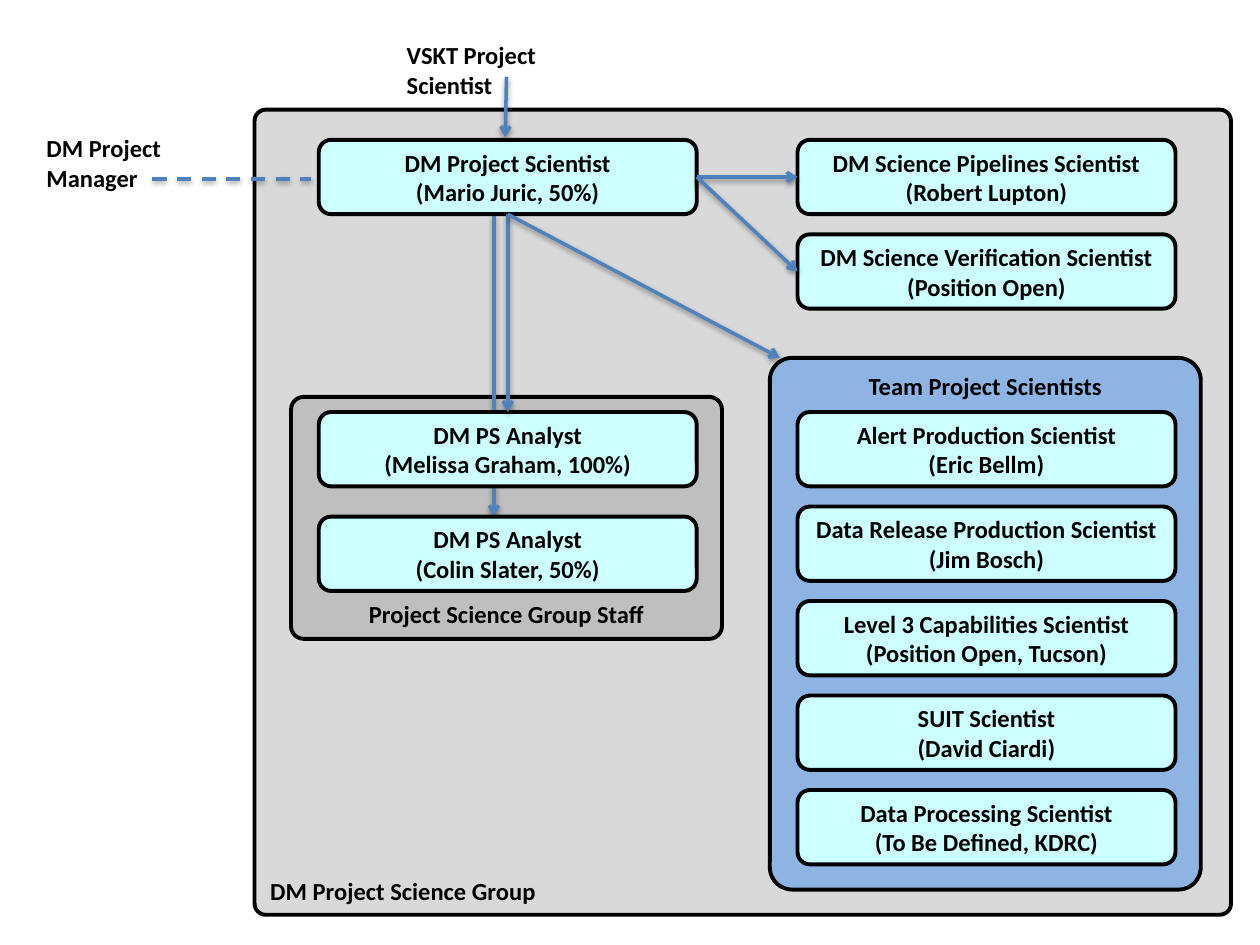
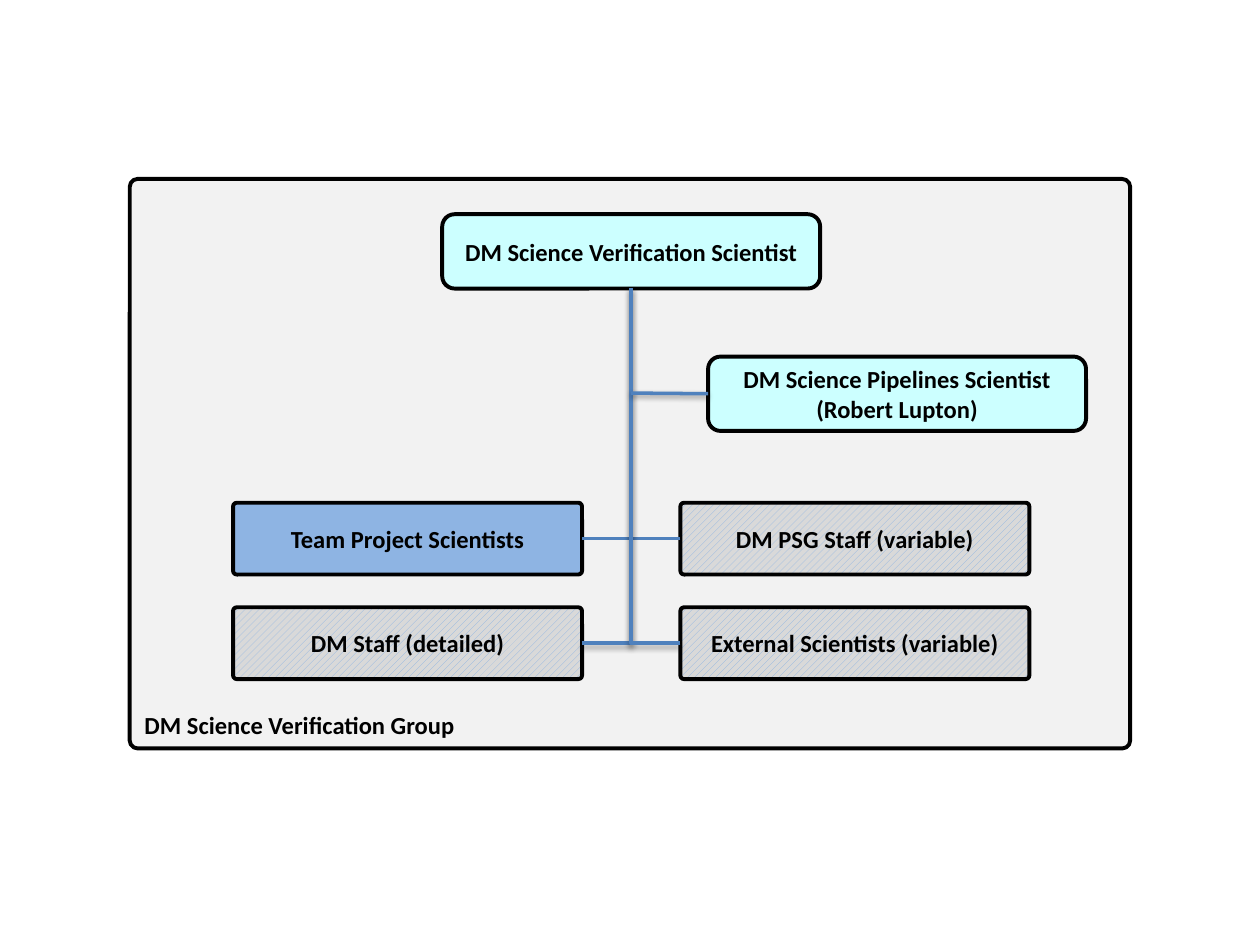
from lxml import etree
from pptx import Presentation
from pptx import util as u
from pptx.dml.color import RGBColor
from pptx.enum import dml, shapes, text
from pptx.oxml.ns import qn

COLOURS = {
    "ink": "000000",
    "connector": "4F81BD",
    "role": "CCFFFF",
    "team": "8EB4E3",
    "staff": "BFBFBF",
    "group": "D9D9D9",
    "pale group": "F2F2F2",
}
FONT, FONT_SIZE = "Calibri", 14
ROLE_SIZE = (3, 0.59)
UNIT_SIZE = (2.77, 0.57)
ROUND, MEDIUM, SLIGHT = 0.167, 0.052, 0.014
TOP, LEFT, BOTTOM, RIGHT = range(4)
MIDDLE = text.MSO_ANCHOR.MIDDLE
CENTER = text.PP_ALIGN.CENTER


def add_box(slide, at, size, lines, fill=None, corner=ROUND, anchor=MIDDLE, align=CENTER):
    """Add a bold-lettered rounded box; "hatched" gives a pattern, no fill a plain label."""
    frame = [u.Inches(value) for value in (*at, *size)]
    if fill is None:
        shape = slide.shapes.add_textbox(*frame)
        shape.text_frame.auto_size = text.MSO_AUTO_SIZE.SHAPE_TO_FIT_TEXT
    else:
        shape = slide.shapes.add_shape(shapes.MSO_SHAPE.ROUNDED_RECTANGLE, *frame)
        shape.shadow.inherit = False
        shape.adjustments[0] = corner
        shape.line.color.rgb = RGBColor.from_string(COLOURS["ink"])
        shape.line.width = u.Pt(2.25)
        if fill == "hatched":
            shape.fill.patterned()
            shape.fill.pattern = dml.MSO_PATTERN.WIDE_UPWARD_DIAGONAL
            shape.fill.fore_color.rgb = RGBColor.from_string(COLOURS["team"])
            shape.fill.back_color.rgb = RGBColor.from_string(COLOURS["group"])
        else:
            shape.fill.solid()
            shape.fill.fore_color.rgb = RGBColor.from_string(COLOURS[fill])
    shape.text_frame.word_wrap = fill is None
    shape.text_frame.vertical_anchor = anchor
    paragraph = shape.text_frame.paragraphs[0]
    paragraph.alignment = align
    for index, line in enumerate(lines):
        if index:
            paragraph.add_line_break()
        run = paragraph.add_run()
        run.text = line
        run.font.name = FONT
        run.font.size = u.Pt(FONT_SIZE)
        run.font.bold = True
        run.font.color.rgb = RGBColor.from_string(COLOURS["ink"])
    return shape


def add_line(slide, start, end, arrow=False, dashed=False, bent=False, shadow=True):
    """Join two ends, each an (x, y) point in inches or a (shape, side) pair."""
    points = []
    for first, second in (start, end):
        if isinstance(first, (int, float)):
            points += [u.Inches(first), u.Inches(second)]
        else:
            points += [int(first.left + first.width * (0.5, 0, 0.5, 1)[second]),
                       int(first.top + first.height * (0, 0.5, 1, 0.5)[second])]
    kind = shapes.MSO_CONNECTOR.ELBOW if bent else shapes.MSO_CONNECTOR.STRAIGHT
    connector = slide.shapes.add_connector(kind, *points)
    if not isinstance(start[0], (int, float)):
        connector.begin_connect(*start)
    if not isinstance(end[0], (int, float)):
        connector.end_connect(*end)
    connector.line.color.rgb = RGBColor.from_string(COLOURS["connector"])
    connector.line.width = u.Pt(2)
    if dashed:
        connector.line.dash_style = dml.MSO_LINE.DASH
    properties = connector._element.spPr
    if bent:
        properties.find(qn("a:prstGeom")).set("prst", "bentConnector2")
    if arrow:
        etree.SubElement(properties.find(qn("a:ln")), qn("a:tailEnd"), type="arrow")
    effects = etree.SubElement(properties, qn("a:effectLst"))
    if shadow:
        cast = etree.SubElement(effects, qn("a:outerShdw"), blurRad="40000", dist="20000",
                                dir="5400000", rotWithShape="0")
        colour = etree.SubElement(cast, qn("a:srgbClr"), val=COLOURS["ink"])
        etree.SubElement(colour, qn("a:alpha"), val="38000")


presentation = Presentation()
presentation.slide_width = u.Inches(10)
presentation.slide_height = u.Inches(7.5)
blank = presentation.slide_layouts[6]

# Slide 1: project science group
slide = presentation.slides.add_slide(blank)
add_box(slide, (2.02, 0.87), (7.75, 6.39), ["DM Project Science Group"], "group",
        SLIGHT, text.MSO_ANCHOR.BOTTOM, text.PP_ALIGN.LEFT)
add_box(slide, (2.31, 3.15), (3.42, 1.92), ["Project Science Group Staff"], "staff",
        MEDIUM, text.MSO_ANCHOR.BOTTOM)
add_box(slide, (6.11, 2.84), (3.42, 4.22), ["Team Project Scientists"], "team",
        MEDIUM, text.MSO_ANCHOR.TOP)

# This arrow runs behind the first analyst, so it precedes the roles
add_line(slide, (3.92, 1.71), (3.92, 4.1), arrow=True)

lead_x, team_x, row_step = 2.53, 6.33, 0.75
lead = add_box(slide, (lead_x, 1.11), ROLE_SIZE,
               ["DM Project Scientist", "(Mario Juric, 50%)"], "role")
analysts = [
    add_box(slide, (lead_x, y), ROLE_SIZE, ["DM PS Analyst", holder], "role")
    for y, holder in ((3.27, "(Melissa Graham, 100%)"), (4.1, "(Colin Slater, 50%)"))
]
team_roles = [
    ["Alert Production Scientist", "(Eric Bellm)"],
    ["Data Release Production Scientist", "(Jim Bosch)"],
    ["Level 3 Capabilities Scientist", "(Position Open, Tucson)"],
    ["SUIT Scientist", "(David Ciardi)"],
    ["Data Processing Scientist", "(To Be Defined, KDRC)"],
]
for row, lines in enumerate(team_roles):
    add_box(slide, (team_x, 3.27 + row * row_step), ROLE_SIZE, lines, "role")

pipelines_lines = ["DM Science Pipelines Scientist", "(Robert Lupton)"]
verification_title = "DM Science Verification Scientist"
for row, lines in enumerate([pipelines_lines, [verification_title, "(Position Open)"]]):
    science_role = add_box(slide, (team_x, 1.11 + row * row_step), ROLE_SIZE, lines, "role")
    add_line(slide, (lead, RIGHT), (science_role, LEFT), arrow=True)

add_line(slide, (lead, BOTTOM), (analysts[0], TOP), arrow=True)
add_line(slide, (lead, BOTTOM), (6.19, 2.84), arrow=True)
add_line(slide, (1.21, 1.42), (2.47, 1.42), dashed=True)
add_line(slide, (4.02, 0.61), (4.01, 1.09), arrow=True)
for at, label in (((0.27, 1.01), "DM Project Manager"), ((3.13, 0.27), "VSKT Project Scientist")):
    add_box(slide, at, (1.33, 0.57), [label], anchor=text.MSO_ANCHOR.TOP,
            align=text.PP_ALIGN.LEFT)

# Slide 2: science verification group
slide = presentation.slides.add_slide(blank)
add_box(slide, (1.03, 1.42), (7.94, 4.52), ["DM Science Verification Group"], "pale group",
        SLIGHT, text.MSO_ANCHOR.BOTTOM, text.PP_ALIGN.LEFT)
verification = add_box(slide, (3.51, 1.7), ROLE_SIZE, [verification_title], "role")
pipelines = add_box(slide, (5.62, 2.83), ROLE_SIZE, pipelines_lines, "role")

unit_rows = [
    (3.99, False, [("Team Project Scientists", "team"), ("DM PSG Staff (variable)", "hatched")]),
    (4.82, True, [("DM Staff (detailed)", "hatched"),
                  ("External Scientists (variable)", "hatched")]),
]
for y, shadow, units in unit_rows:
    for x, inner_side, (label, fill) in zip((1.85, 5.4), (RIGHT, LEFT), units):
        unit = add_box(slide, (x, y), UNIT_SIZE, [label], fill, MEDIUM)
        add_line(slide, (unit, inner_side), (verification, BOTTOM), bent=True, shadow=shadow)
add_line(slide, (pipelines, LEFT), (5.01, 3.12))

presentation.save("out.pptx")
